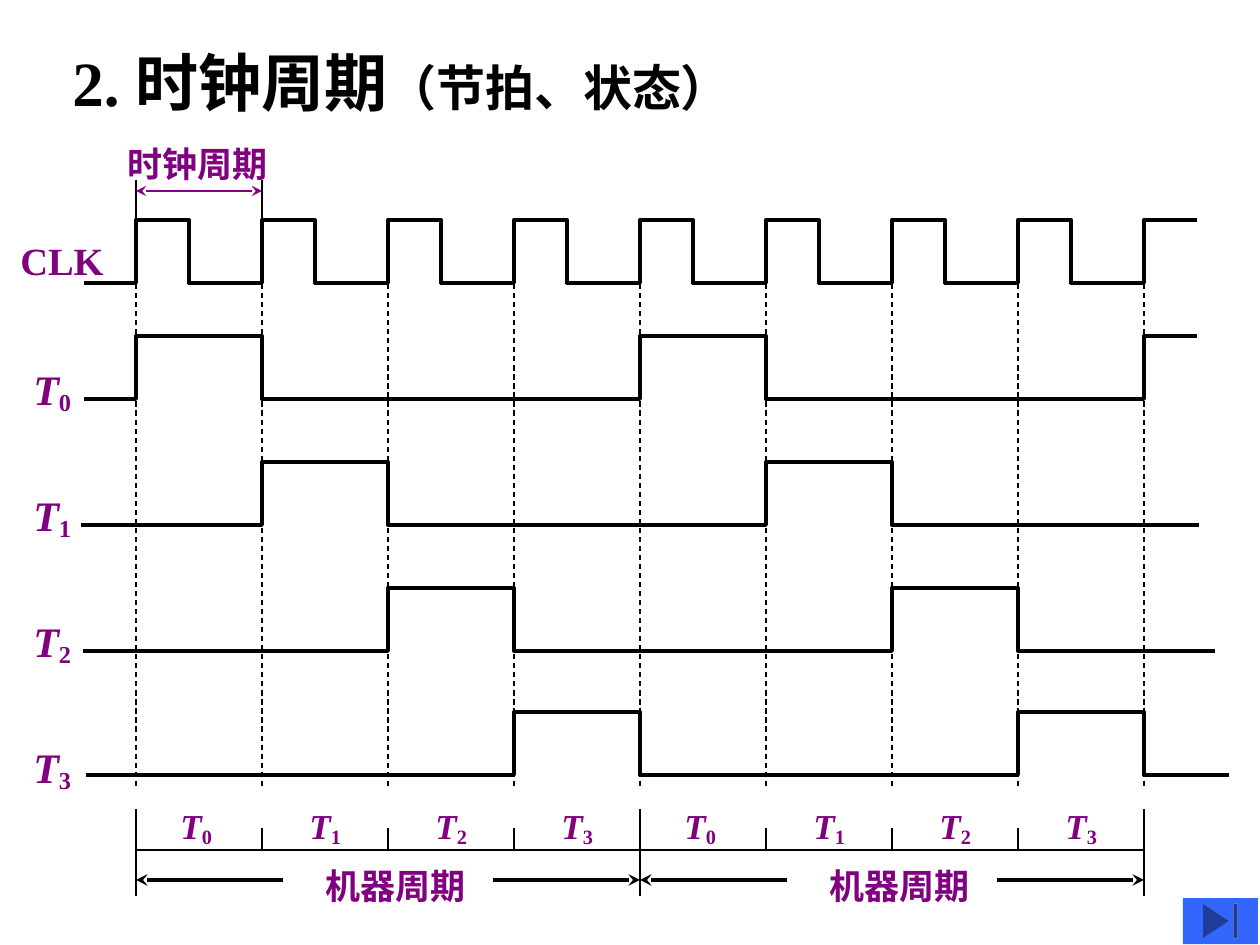
"""Build a clock-cycle timing diagram slide."""
from pptx import Presentation, util as u
from pptx.dml import color
from pptx.enum import dml, shapes, text
from pptx.oxml import xmlchemy

PX = 914400 / 126
COLORS = {"ink": "000000", "label": "800080", "button": "3366FF", "page": "FFFFFF"}


def emu(px):
    return u.Emu(round(px * PX))


def rgb(name):
    return color.RGBColor.from_string(COLORS[name])


class TimingSlide:
    def __init__(self, slide, font="Times New Roman"):
        self.slide = slide
        self.font = font
        slide.background.fill.solid()
        slide.background.fill.fore_color.rgb = rgb("page")

    def wave(self, points, weight=2.25):
        (x, y), *rest = points
        builder = self.slide.shapes.build_freeform(x, y, scale=PX)
        builder.add_line_segments(rest, close=False)
        trace = builder.convert_to_shape()
        trace.shadow.inherit = False
        trace.fill.background()
        trace.line.color.rgb = rgb("ink")
        trace.line.width = u.Pt(weight)

    def line(self, start, end, weight=0.75, ink="ink", dashed=False, arrows=()):
        rule = self.slide.shapes.add_connector(
            shapes.MSO_CONNECTOR.STRAIGHT, *map(emu, start + end))
        rule.line.color.rgb = rgb(ink)
        rule.line.width = u.Pt(weight)
        if dashed:
            rule.line.dash_style = dml.MSO_LINE.DASH
        ln = rule.line._get_or_add_ln()
        for arrow in arrows:
            ln.append(xmlchemy.OxmlElement(f"a:{arrow}"))
            ln[-1].set("type", "stealth")
        rule._element.spPr.append(xmlchemy.OxmlElement("a:effectLst"))

    def text(self, left, top, width, height, runs, ink="label"):
        box = self.slide.shapes.add_textbox(*map(emu, (left, top, width, height)))
        frame = box.text_frame
        frame.word_wrap = False
        frame.auto_size = text.MSO_AUTO_SIZE.SHAPE_TO_FIT_TEXT
        for words, size, italic, baseline in runs:
            run = frame.paragraphs[0].add_run()
            run.text = words
            run.font.name = self.font
            run.font.size = u.Pt(size)
            run.font.bold = True
            run.font.italic = italic
            run.font.color.rgb = rgb(ink)
            if baseline:
                run._r.get_or_add_rPr().set("baseline", str(baseline))

    def label(self, left, top, width, height, words, size):
        self.text(left, top, width, height, [(words, size, False, 0)])

    def phase(self, left, top, width, height, number, size):
        self.text(left, top, width, height,
                  [("T", size, True, 0), (str(number), size, False, -15000)])

    def button(self, left, top, width, height):
        end = self.slide.shapes.add_shape(
            shapes.MSO_SHAPE.ACTION_BUTTON_END, *map(emu, (left, top, width, height)))
        end.shadow.inherit = False
        end.fill.solid()
        end.fill.fore_color.rgb = rgb("button")
        end.line.fill.background()


def main():
    deck = Presentation()
    deck.slide_width, deck.slide_height = emu(1260), emu(945)
    page = TimingSlide(deck.slides.add_slide(deck.slide_layouts[6]))

    cycle, pulse = 126, 63
    ticks = [136 + cycle * n for n in range(9)]
    first, middle, last = ticks[::4]

    page.text(60, 37, 702, 88, [("2. 时钟周期", 36, False, 0),
                                ("（节拍、状态）", 28, False, 0)], ink="ink")

    page.label(8, 231, 114, 59, "CLK", 22)
    for rise in ticks:
        start = 84 if rise == first else rise - 74
        clock = [(start, 283), (rise, 283), (rise, 220), (rise + 53, 220)]
        page.wave(clock if rise == last else clock + [(rise + 53, 284)])

    phases = [(84, 1197, 399), (81, 1199, 525), (83, 1215, 651), (86, 1229, 775)]
    for number, (start, end, low) in enumerate(phases):
        high = low - pulse
        points = [(start, low)]
        for rise in ticks[number::4]:
            points += [(rise, low), (rise, high)]
            if rise < last:
                points += [(rise + cycle, high), (rise + cycle, low)]
        page.wave(points + [(end, points[-1][1])])
        page.phase(21, 357 + cycle * number, 66, 63, number, 24)

    for x in ticks:
        page.line((x, 248), (x, 788), dashed=True)

    for x in ticks[:2]:
        page.line((x, 180), (x, 223), weight=1.5)
    page.line((first, 191), (ticks[1], 191), weight=1.5, ink="label",
              arrows=("headEnd", "tailEnd"))
    page.label(115, 136, 166, 54, "时钟周期", 20)

    page.line((first, 850), (last, 850))
    for n, x in enumerate(ticks):
        top, bottom = (828, 850) if n % 4 else (809, 896)
        page.line((x, top), (x, bottom))
    for n, x in enumerate(ticks[:-1]):
        page.phase(x + (35 if n % 4 else 32), 798, 58, 54, n % 4, 20)

    for start, end in ((first, middle), (middle, last)):
        page.line((end - 147, 880), (end, 880), weight=2.25, arrows=("tailEnd",))
        page.line((start + 147, 880), (start, 880), weight=2.25, arrows=("tailEnd",))
        page.label(start + 177, 858, 166, 54, "机器周期", 20)

    page.button(1183, 898, 75, 46)
    deck.save("out.pptx")


if __name__ == "__main__":
    main()
